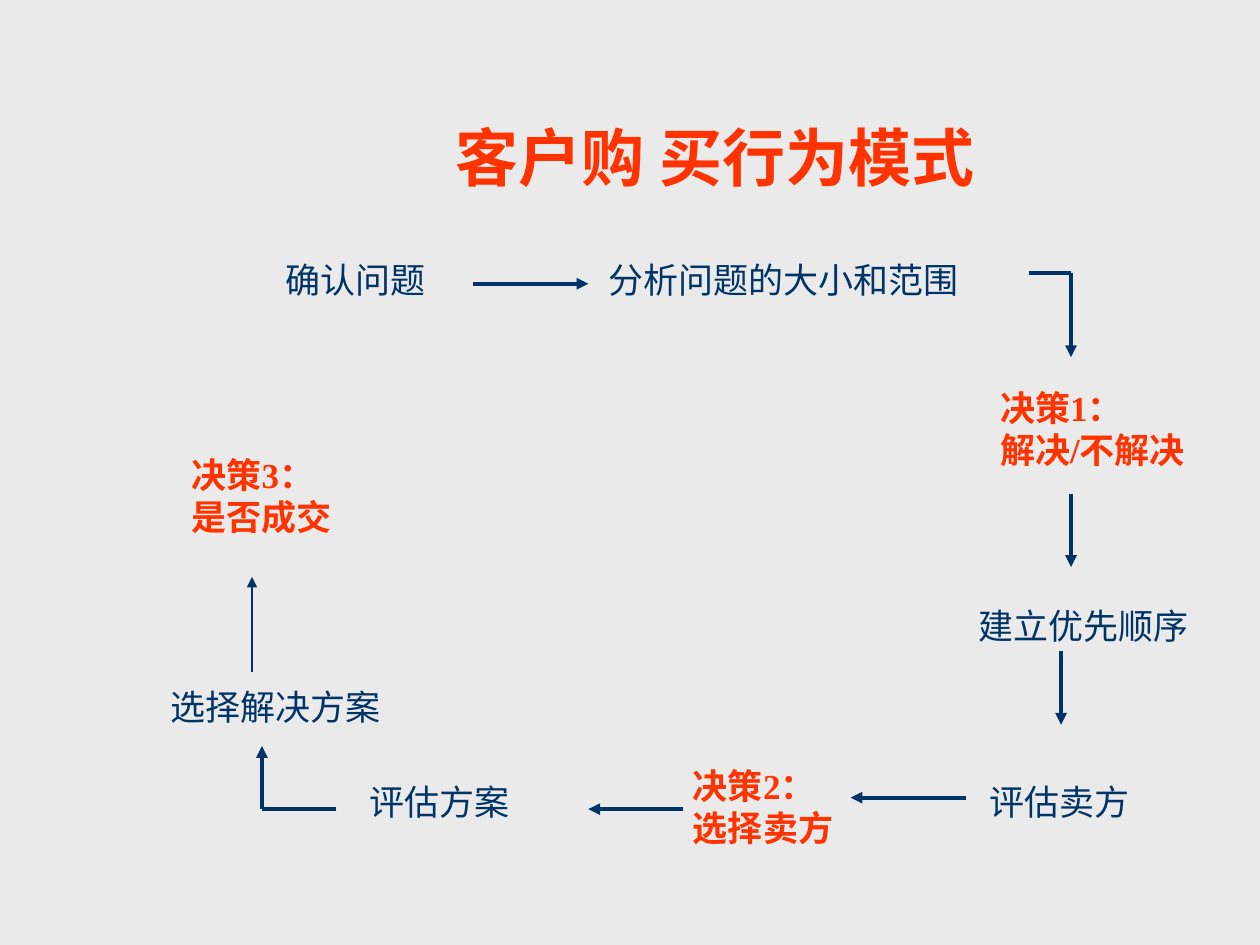
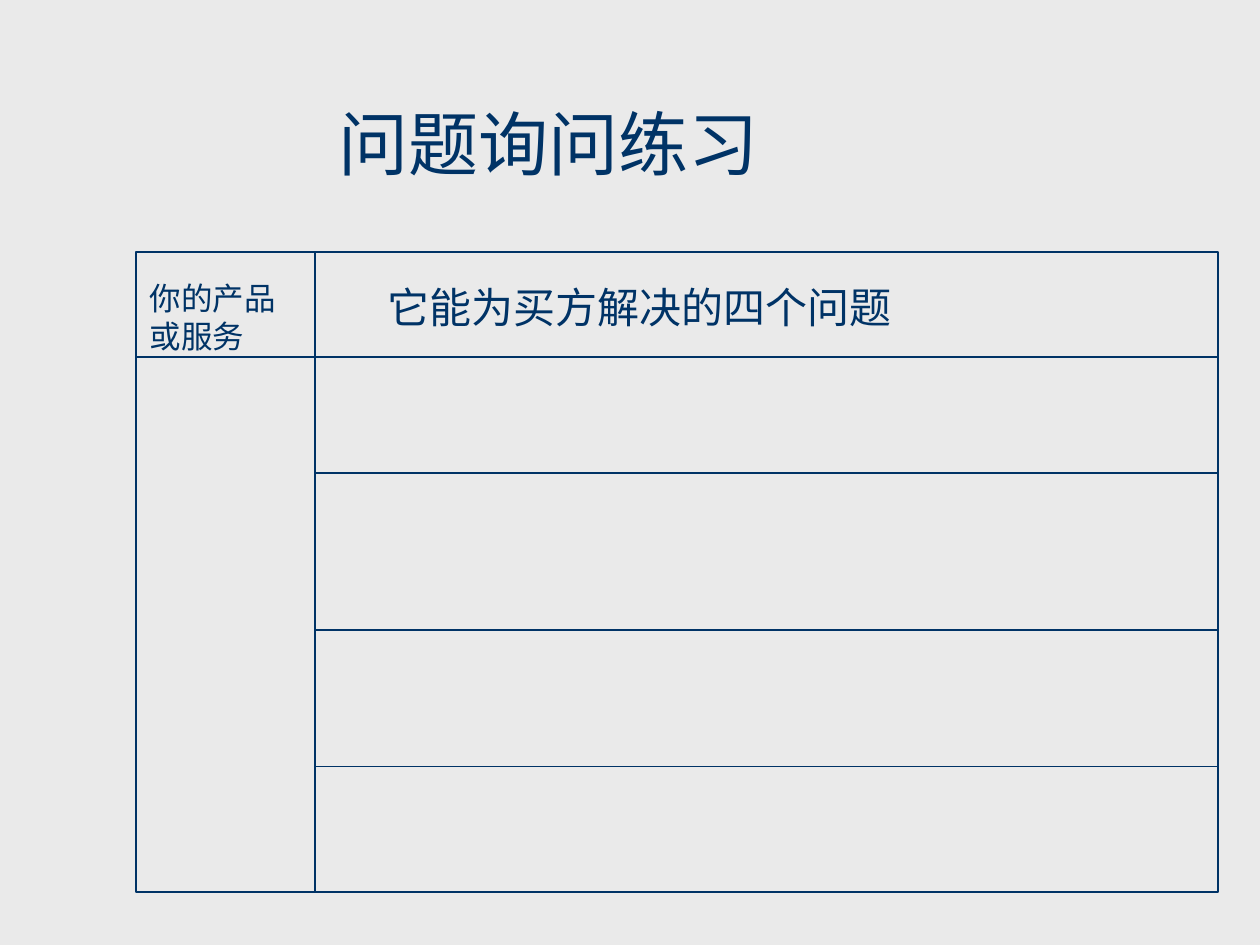
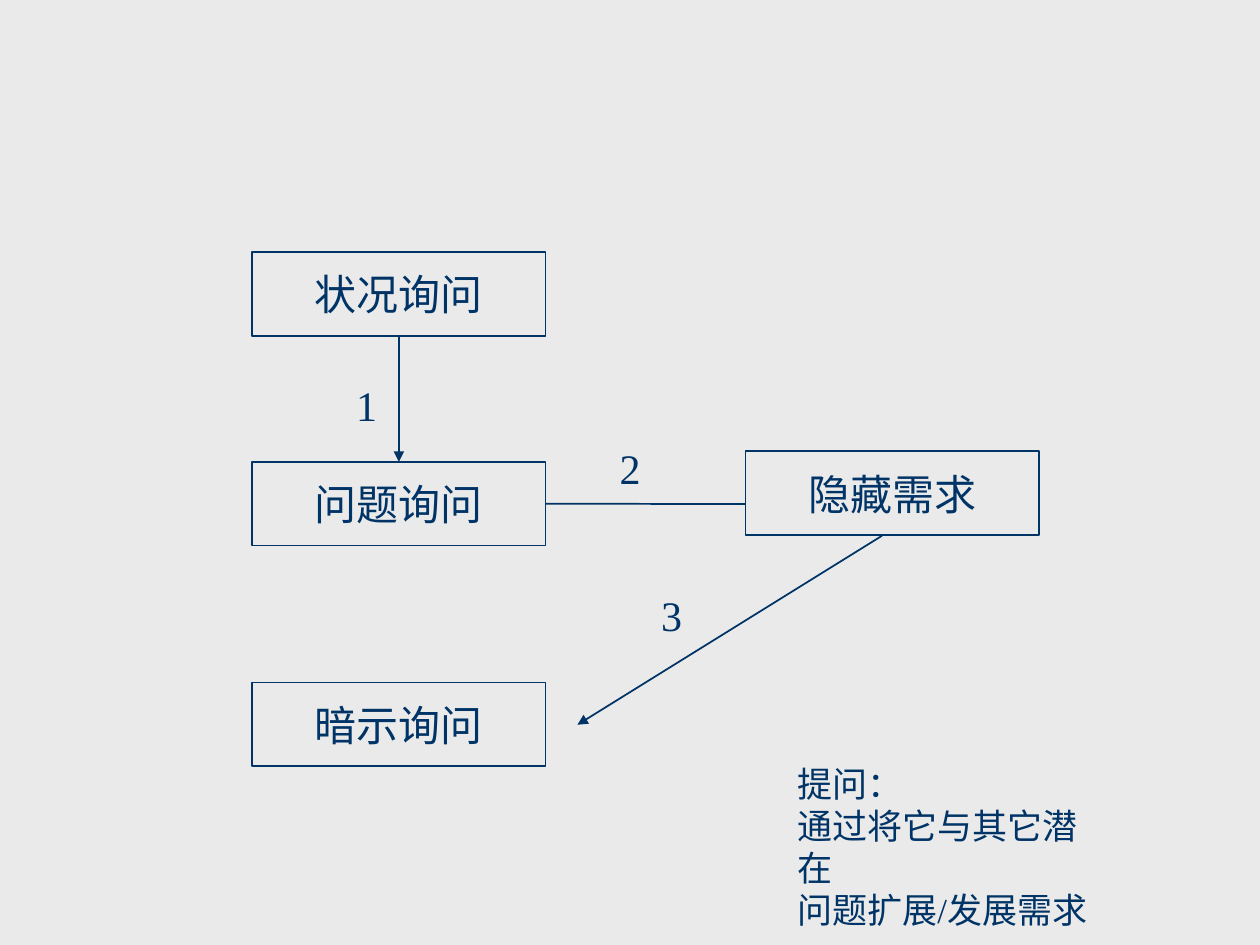
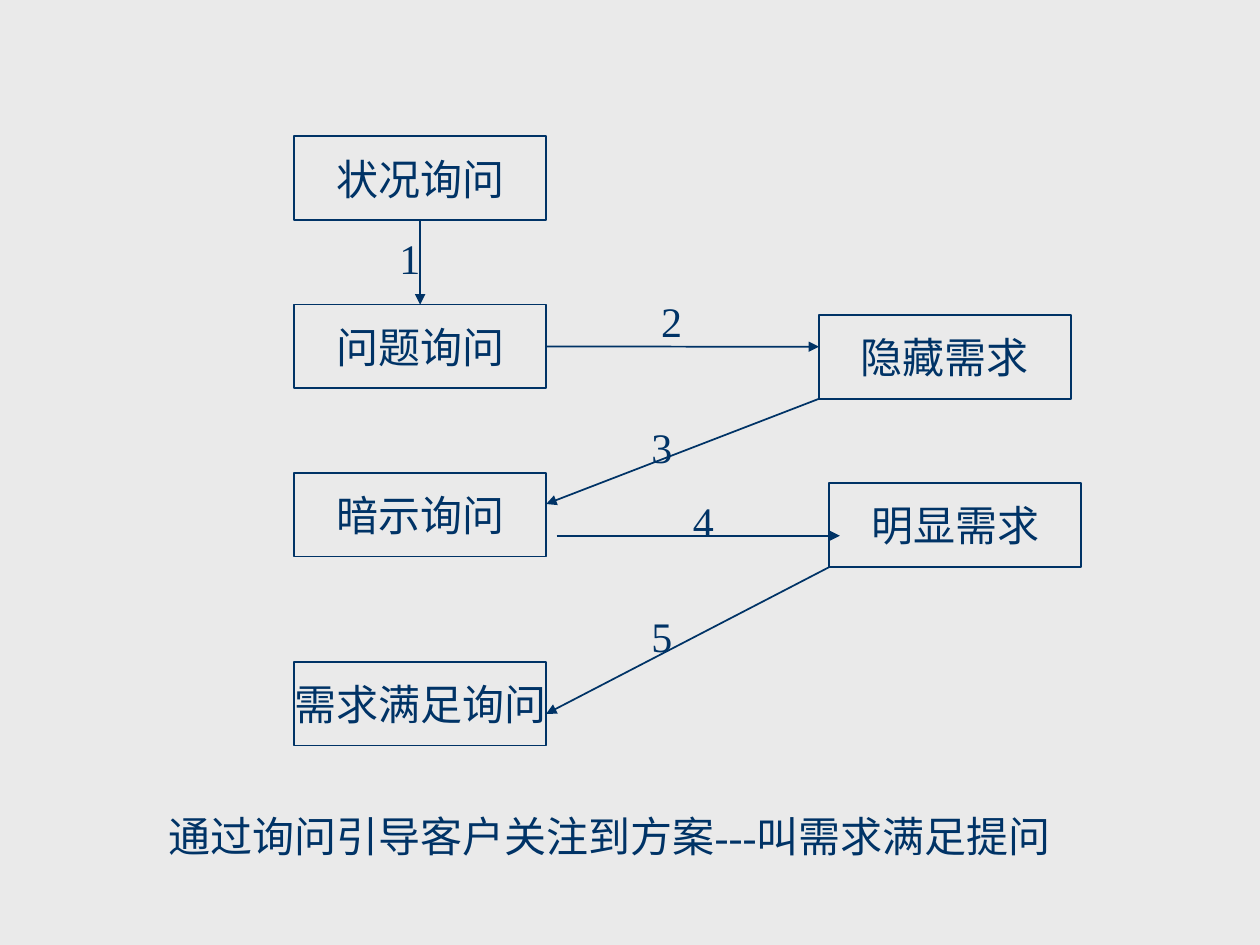
from dataclasses import dataclass

from lxml.etree import SubElement
from pptx import Presentation
from pptx.dml.color import RGBColor
from pptx.enum.lang import MSO_LANGUAGE_ID
from pptx.enum.shapes import MSO_CONNECTOR, MSO_SHAPE
from pptx.enum.text import MSO_ANCHOR, MSO_AUTO_SIZE, PP_ALIGN
from pptx.oxml.ns import qn
from pptx.shapes.autoshape import Shape
from pptx.util import Cm, Pt


@dataclass(frozen=True)
class Theme:
    back: RGBColor = RGBColor(0xEA, 0xEA, 0xEA)
    ink: RGBColor = RGBColor(0x00, 0x33, 0x66)
    hot: RGBColor = RGBColor(0xFF, 0x33, 0x00)
    font: str = "Times New Roman"
    huge: int = 40
    title: int = 36
    large: int = 24
    body: int = 20
    small: int = 18
    thin: float = 1
    thick: float = 2.25


THEME = Theme()
TOP, RIGHT, BOTTOM = 0, 3, 2  # connection sites of a rectangle


def write(frame, text, size=THEME.body, color=THEME.ink, bold=False,
          align=PP_ALIGN.LEFT, wrap=False):
    """Fill a text frame, one paragraph for each line of text."""
    frame.word_wrap = wrap
    for i, line in enumerate(text.split("\n")):
        para = frame.add_paragraph() if i else frame.paragraphs[0]
        para.alignment = align
        run = para.add_run()
        run.text = line
        font = run.font
        font.name, font.size, font.bold = THEME.font, Pt(size), bold
        font.color.rgb = color
        font.language_id = MSO_LANGUAGE_ID.SIMPLIFIED_CHINESE


class Deck:
    """The style and the current slide. All lengths are in centimetres."""

    def __init__(self, theme):
        self.theme = theme
        self.show = Presentation()
        self.show.slide_width, self.show.slide_height = Cm(25.4), Cm(19.05)
        fill = self.show.slide_master.background.fill
        fill.solid()
        fill.fore_color.rgb = theme.back
        self.slide = None

    def page(self):
        self.slide = self.show.slides.add_slide(self.show.slide_layouts[6])

    def label(self, text, x, y, w, h, **style):
        item = self.slide.shapes.add_textbox(Cm(x), Cm(y), Cm(w), Cm(h))
        write(item.text_frame, text, **style)
        item.text_frame.auto_size = MSO_AUTO_SIZE.SHAPE_TO_FIT_TEXT

    def box(self, x, y, w, h, text=""):
        item = self.slide.shapes.add_shape(
            MSO_SHAPE.RECTANGLE, Cm(x), Cm(y), Cm(w), Cm(h))
        item.shadow.inherit = False
        item.fill.solid()
        item.fill.fore_color.rgb = self.theme.back
        item.line.color.rgb = self.theme.ink
        item.line.width = Pt(self.theme.thin)
        if text:
            item.text_frame.vertical_anchor = MSO_ANCHOR.MIDDLE
            write(item.text_frame, text, size=self.theme.large,
                  align=PP_ALIGN.CENTER)
        return item

    def line(self, start, end, width=THEME.thin, arrow=True):
        """Each end is a point (x, y) or a joint (box, site)."""
        ends = [(0, 0) if isinstance(spot[0], Shape) else spot
                for spot in (start, end)]
        item = self.slide.shapes.add_connector(
            MSO_CONNECTOR.STRAIGHT, *(Cm(v) for spot in ends for v in spot))
        for spot, join in ((start, item.begin_connect),
                           (end, item.end_connect)):
            if isinstance(spot[0], Shape):
                join(*spot)
        item.line.color.rgb = self.theme.ink
        item.line.width = Pt(width)
        if arrow:
            SubElement(item.line._get_or_add_ln(), qn("a:tailEnd"),
                       type="triangle")
        SubElement(item._element.spPr, qn("a:effectLst"))

    def marks(self, spots):
        """Number the steps 1, 2, 3 and so on."""
        for step, (x, y) in enumerate(spots, 1):
            self.label(str(step), x, y, 0.91, 1.27, size=self.theme.large)


def model(deck):
    """Buying behaviour cycle."""
    deck.page()
    deck.label("客户购 买行为模式", 8.94, 2.26, 10.95, 1.78,
               size=THEME.title, color=THEME.hot, bold=True)
    # Steps
    deck.label("确认问题", 5.51, 5.08, 4.06, 1.12, wrap=True)
    for text, x, y, w in (
        ("分析问题的大小和范围", 12.01, 5.08, 7.57),
        ("建立优先顺序", 19.48, 12.07, 4.75),
        ("评估卖方", 19.69, 15.6, 3.33),
        ("评估方案", 7.19, 15.6, 3.33),
        ("选择解决方案", 3.18, 13.69, 4.75),
    ):
        deck.label(text, x, y, w, 1.12)
    # Decisions
    for text, x, y, w in (
        ("决策1：\n解决/不解决", 19.91, 7.67, 4.57),
        ("决策2：\n选择卖方", 13.72, 15.29, 3.33),
        ("决策3：\n是否成交", 3.61, 9.02, 3.33),
    ):
        deck.label(text, x, y, w, 1.96, color=THEME.hot, bold=True)
    # Arrows, clockwise
    for start, end, arrow in (
        ((9.53, 5.72), (11.86, 5.72), True),
        ((20.75, 5.51), (21.59, 5.51), False),
        ((21.59, 5.51), (21.59, 7.2), True),
        ((21.59, 9.96), (21.59, 11.43), True),
        ((21.39, 13.13), (21.39, 14.61), True),
        ((19.48, 16.08), (17.15, 16.08), True),
        ((13.77, 16.31), (11.86, 16.31), True),
        ((6.78, 16.31), (5.28, 16.31), False),
        ((5.28, 16.31), (5.28, 15.04), True),
    ):
        deck.line(start, end, THEME.thick, arrow)
    deck.line((5.08, 13.54), (5.08, 11.63))


def drill(deck):
    """Form for practising problem questions."""
    deck.page()
    left, top, wide, high = 2.75, 5.08, 21.8, 12.9
    right, split, notch, head = left + wide, 6.35, 5.92, 7.2
    deck.box(left, top, wide, high)
    # Rules of the form
    deck.line((split, top), (split, top + high), arrow=False)
    for x1, x2, y in (
        (left, notch, head), (notch, right, head),
        (split, right, 9.53), (split, right, 12.7), (split, right, 15.45),
    ):
        deck.line((x1, y), (x2, y), arrow=False)
    # Headings
    deck.label("你的产品\n或服务", 2.77, 5.51, 3.05, 1.78, size=THEME.small)
    deck.label("它能为买方解决的四个问题", 7.57, 5.56, 10.67, 1.27,
               size=THEME.large)
    deck.label("问题询问练习", 6.58, 1.91, 8.97, 1.96, size=THEME.huge)


def hint(deck):
    """From situation to implication questions."""
    deck.page()
    wide, high = 5.92, 1.69
    first, second, _ = [
        deck.box(5.08, y, wide, high, text)
        for text, y in (("状况询问", 5.08), ("问题询问", 9.31),
                        ("暗示询问", 13.76))]
    deck.box(15.03, 9.1, wide, high, "隐藏需求")
    # Links
    deck.line((first, BOTTOM), (second, TOP))
    deck.line((second, RIGHT), (15.03, 10.16), arrow=False)
    deck.line((17.78, 10.8), (11.64, 14.61))
    deck.marks(((6.93, 7.52), (12.24, 8.79), (13.08, 11.76)))
    deck.label("提问：\n通过将它与其它潜在\n问题扩展/发展需求",
               15.82, 15.24, 6.86, 2.79)


def need(deck):
    """The whole path to need-payoff questions."""
    deck.page()
    wide, high = 5.08, 1.69
    first, second, *_ = [
        deck.box(5.93, y, wide, high, text)
        for text, y in (("状况询问", 2.75), ("问题询问", 6.14),
                        ("暗示询问", 9.53), ("需求满足询问", 13.34))]
    deck.box(16.51, 6.35, wide, high, "隐藏需求")
    deck.box(16.72, 9.74, wide, high, "明显需求")
    # Links
    for start, end in (
        ((first, BOTTOM), (second, TOP)),
        ((second, RIGHT), (16.51, 6.99)),
        ((16.51, 8.04), (11.01, 10.16)),
        ((11.22, 10.8), (16.93, 10.8)),
        ((16.72, 11.43), (11.01, 14.39)),
    ):
        deck.line(start, end)
    deck.marks(((7.8, 4.57), (13.08, 5.84), (12.88, 8.38),
                (13.72, 9.86), (12.88, 12.19)))
    deck.label("通过询问引导客户关注到方案---叫需求满足提问",
               3.15, 16.21, 18.69, 1.27, size=THEME.large)


def main():
    deck = Deck(THEME)
    for build in (model, drill, hint, need):
        build(deck)
    deck.show.save("out.pptx")


if __name__ == "__main__":
    main()
